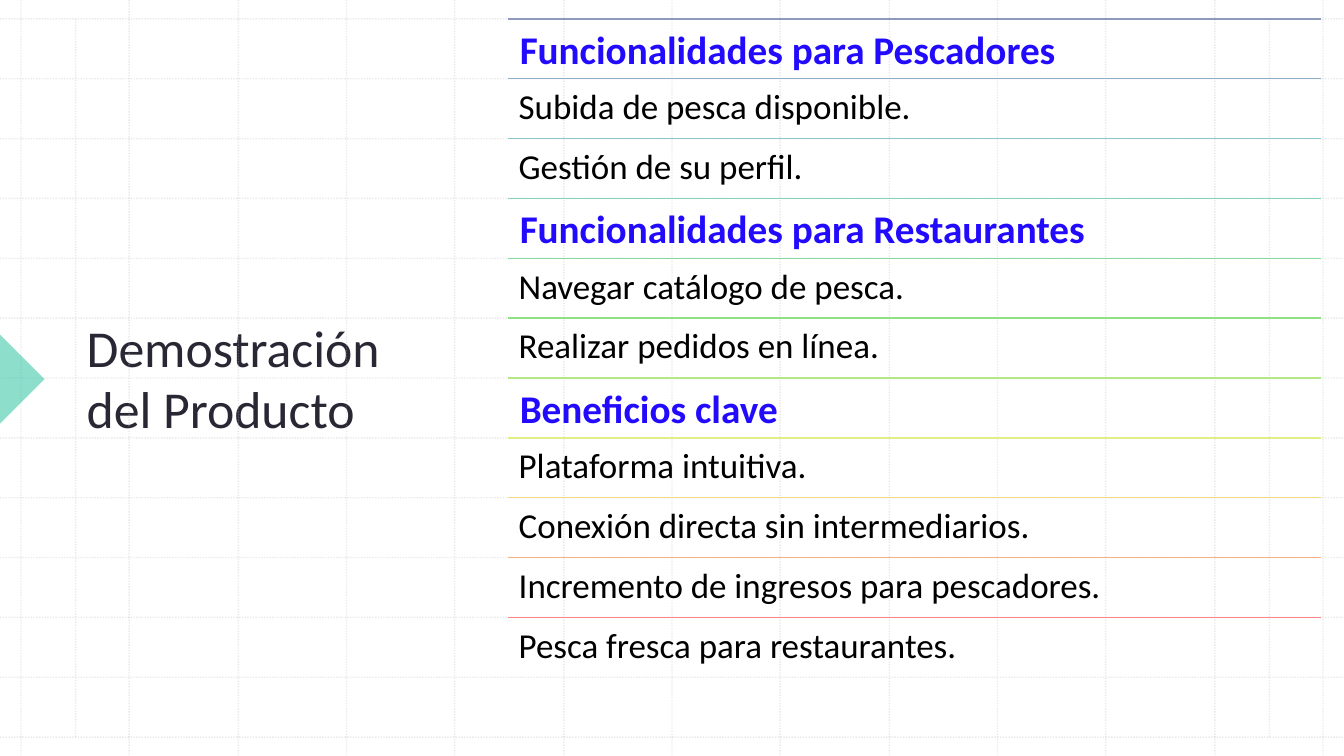
from lxml import etree
from pptx import Presentation
from pptx import util as u
from pptx.dml.color import RGBColor
from pptx.enum import dml, shapes, text
from pptx.oxml import ns

PX = 9525  # EMU per px, 96 px to the inch
WIDTH, HEIGHT = 1280, 720
FONT = "Calibri"
GRID = RGBColor(0xBC, 0xBC, 0xBC)
TEAL = RGBColor(0x1E, 0xBE, 0x9B)
INK = RGBColor(0x2A, 0x27, 0x35)
BLUE = RGBColor(0x22, 0x0B, 0xFD)
BLACK = RGBColor(0x00, 0x00, 0x00)

ROW_TOP, ROW_STEP, ROW_COUNT = 18, 57, 12
COLUMN_LEFT, COLUMN_RIGHT, COLUMN_COUNT = 20, 1260, 12
LIST_LEFT, LIST_WIDTH = 484, 774

# Heading flag, text, colour of the rule above
ROWS = [
    (True, "Funcionalidades para Pescadores", RGBColor(0x8F, 0x99, 0xBB)),
    (False, "Subida de pesca disponible.", RGBColor(0x8C, 0xAE, 0xC3)),
    (False, "Gestión de su perfil.", RGBColor(0x8A, 0xCA, 0xCB)),
    (True, "Funcionalidades para Restaurantes", RGBColor(0x88, 0xD3, 0xB8)),
    (False, "Navegar catálogo de pesca.", RGBColor(0x86, 0xDA, 0x9D)),
    (False, "Realizar pedidos en línea.", RGBColor(0x90, 0xE1, 0x85)),
    (True, "Beneficios clave", RGBColor(0xB5, 0xE8, 0x85)),
    (False, "Plataforma intuitiva.", RGBColor(0xE0, 0xEE, 0x84)),
    (False, "Conexión directa sin intermediarios.", RGBColor(0xF3, 0xD8, 0x85)),
    (False, "Incremento de ingresos para pescadores.", RGBColor(0xF8, 0xB1, 0x85)),
    (False, "Pesca fresca para restaurantes.", RGBColor(0xFD, 0x86, 0x86)),
]


def add_line(x1, y1, x2, y2, color):
    line = slide.shapes.add_connector(
        shapes.MSO_CONNECTOR.STRAIGHT, x1 * PX, y1 * PX, x2 * PX, y2 * PX)
    line.line.color.rgb = color
    line.line.width = u.Pt(1)
    etree.SubElement(line._element.spPr, ns.qn("a:effectLst"))
    return line


def set_alpha(shape, percent):
    color = next(shape._element.spPr.iter(ns.qn("a:srgbClr")))
    etree.SubElement(color, ns.qn("a:alpha"), val=str(percent * 1000))


presentation = Presentation()
presentation.slide_width = WIDTH * PX
presentation.slide_height = HEIGHT * PX
slide = presentation.slides.add_slide(presentation.slide_layouts[5])

# Dotted background grid
column_step = (COLUMN_RIGHT - COLUMN_LEFT) / COLUMN_COUNT
columns = [round(COLUMN_LEFT + i * column_step) for i in range(COLUMN_COUNT + 1)]
rows = [ROW_TOP + i * ROW_STEP for i in range(ROW_COUNT + 1)]
grid = [(x, 0, x, HEIGHT) for x in columns]
grid += [(0, y, WIDTH, y) for y in rows]
grid += [(x, rows[0], x, rows[-1]) for x in (72, 1209)]
for ends in grid:
    grid_line = add_line(*ends, GRID)
    grid_line.line.dash_style = dml.MSO_LINE.ROUND_DOT
    set_alpha(grid_line, 30)

# Arrow tip on the left edge
tip = slide.shapes.add_shape(
    shapes.MSO_SHAPE.RIGHT_TRIANGLE, -30 * PX, 331 * PX, 60 * PX, 60 * PX)
tip.rotation = 225
tip.shadow.inherit = False
tip.fill.solid()
tip.fill.fore_color.rgb = TEAL
tip.line.fill.background()
set_alpha(tip, 50)

# Title
title = slide.shapes.title
title.left, title.top, title.width, title.height = (
    73 * PX, 76 * PX, 360 * PX, 571 * PX)
frame = title.text_frame
frame.word_wrap = True
frame.auto_size = text.MSO_AUTO_SIZE.NONE
frame.vertical_anchor = text.MSO_ANCHOR.MIDDLE
paragraph = frame.paragraphs[0]
paragraph.alignment = text.PP_ALIGN.LEFT
paragraph.line_spacing = 0.98
run = paragraph.add_run()
run.text = "Demostración del Producto"
run.font.name = FONT
run.font.size = u.Pt(37)
run.font.color.rgb = INK

# List rows, each under a coloured rule
for top, (heading, words, rule_color) in zip(rows, ROWS):
    add_line(LIST_LEFT, top, LIST_LEFT + LIST_WIDTH, top, rule_color)
    box = slide.shapes.add_textbox(
        LIST_LEFT * PX, top * PX, LIST_WIDTH * PX, ROW_STEP * PX)
    frame = box.text_frame
    frame.word_wrap = True
    inset = (11 if heading else 10) * PX
    frame.margin_left = frame.margin_right = inset
    frame.margin_top = frame.margin_bottom = inset
    paragraph = frame.paragraphs[0]
    paragraph.line_spacing = 0.9
    run = paragraph.add_run()
    run.text = words
    run.font.name = FONT
    run.font.size = u.Pt(28 if heading else 25)
    run.font.bold = heading
    run.font.color.rgb = BLUE if heading else BLACK

presentation.save("out.pptx")
